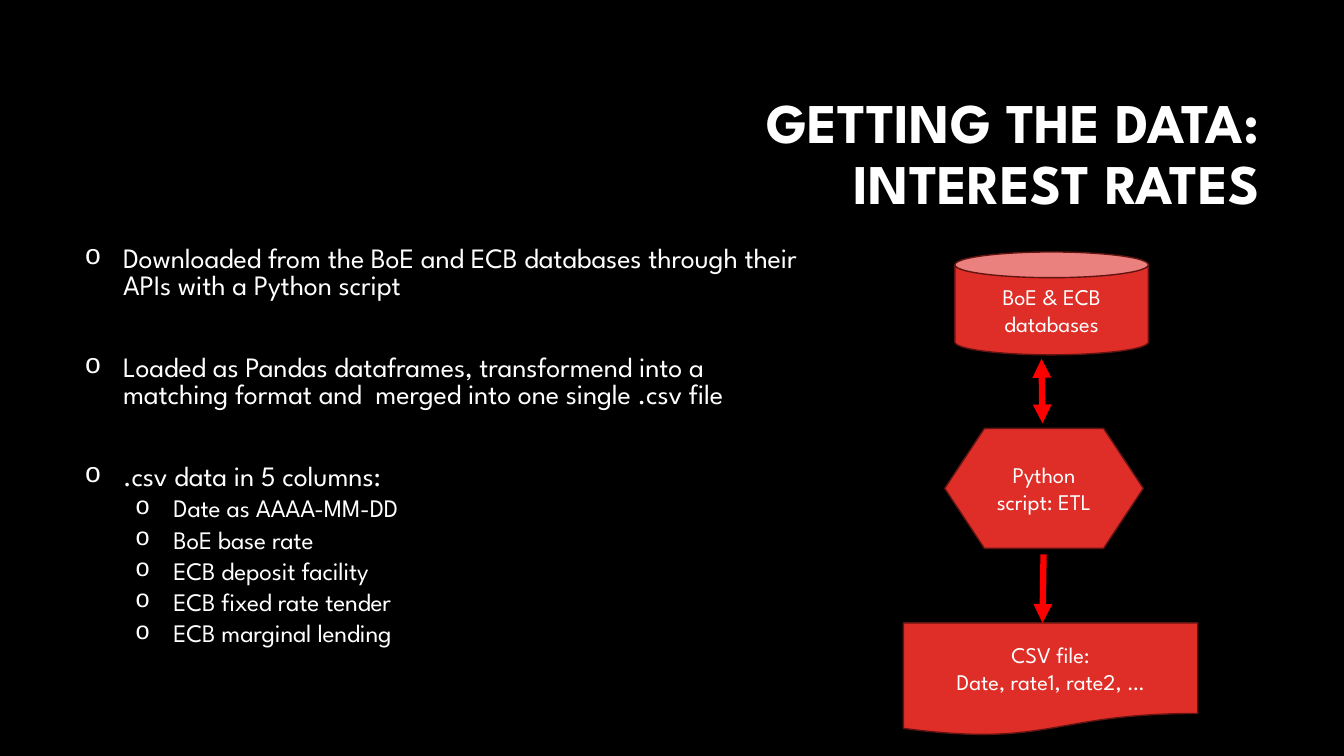
from copy import deepcopy

from lxml.etree import SubElement
from pptx import Presentation
from pptx.dml.color import RGBColor
from pptx.enum.shapes import MSO_CONNECTOR, MSO_SHAPE
from pptx.enum.text import MSO_ANCHOR, MSO_AUTO_SIZE, PP_ALIGN
from pptx.oxml.ns import qn
from pptx.util import Inches, Pt

FONT = "League Spartan"
BLACK, WHITE, RED, DARK_RED, ARROW_RED = "000000", "FFFFFF", "DF2E28", "621412", "FF0000"
POINTS = [
    (0, "Downloaded from the BoE and ECB databases through their APIs with a Python script", 10),
    (0, "Loaded as Pandas dataframes, transformend into a matching format and  merged into one single .csv file", 39.3),
    (0, ".csv data in 5 columns:", 39.3),
    (1, "Date as AAAA-MM-DD", 5),
    (1, "BoE base rate", 5),
    (1, "ECB deposit facility", 5),
    (1, "ECB fixed rate tender", 5),
    (1, "ECB marginal lending", 5),
]


def color(value):
    """Turn a hex string into a colour."""
    return RGBColor.from_string(value)


def write(paragraph, text, size=16, bold=False, align=PP_ALIGN.LEFT, line=None, before=0, tracking=None):
    """Fill a paragraph with formatted text; a vertical tab breaks the line."""
    paragraph.text = text
    paragraph.alignment = align
    paragraph.line_spacing = line
    paragraph.space_before = Pt(before)
    for run in paragraph.runs:
        run.font.name = FONT
        run.font.size = Pt(size)
        run.font.bold = bold
        run.font.color.rgb = color(WHITE)
        if tracking is not None:
            run.font._element.set("spc", str(tracking))
    for line_break in paragraph._p.findall(qn("a:br")):
        line_break.append(deepcopy(paragraph.runs[0].font._element))


def place(shape, left, top, width, height):
    """Move a shape to a box given in inches."""
    shape.left, shape.top = Inches(left), Inches(top)
    shape.width, shape.height = Inches(width), Inches(height)


def add_bullet(paragraph, level):
    """Give a paragraph a hanging round bullet."""
    paragraph.level = level
    properties = paragraph._p.get_or_add_pPr()
    properties.set("marL", str(Inches(0.38 + 0.5 * level)))
    properties.set("indent", str(-Inches(0.38)))
    SubElement(properties, qn("a:buFont")).set("typeface", "Courier New")
    SubElement(properties, qn("a:buChar")).set("char", "o")


def fill_title(title, box):
    """Place and write the slide title."""
    place(title, *box)
    frame = title.text_frame
    frame.auto_size = MSO_AUTO_SIZE.NONE
    frame.vertical_anchor = MSO_ANCHOR.MIDDLE
    write(frame.paragraphs[0], "GETTING THE DATA:\vINTEREST RATES",
          size=40, bold=True, align=PP_ALIGN.RIGHT, line=0.9)


def fill_points(body, box):
    """Place the body and write its two-level list."""
    place(body, *box)
    frame = body.text_frame
    frame.auto_size = MSO_AUTO_SIZE.NONE
    for index, (level, text, before) in enumerate(POINTS):
        paragraph = frame.add_paragraph() if index else frame.paragraphs[0]
        write(paragraph, text, size=20 - 2 * level, line=0.8, before=before, tracking=-10)
        add_bullet(paragraph, level)


def add_step(slide, kind, lines, box):
    """Add one labelled step of the flow."""
    shape = slide.shapes.add_shape(kind, *map(Inches, box))
    shape.shadow.inherit = False
    shape.fill.solid()
    shape.fill.fore_color.rgb = color(RED)
    shape.line.color.rgb = color(DARK_RED)
    shape.line.width = Pt(1)
    frame = shape.text_frame
    frame.word_wrap = True
    frame.vertical_anchor = MSO_ANCHOR.MIDDLE
    for index, text in enumerate(lines):
        paragraph = frame.add_paragraph() if index else frame.paragraphs[0]
        write(paragraph, text, align=PP_ALIGN.CENTER)


def add_arrow(slide, start, end, ends):
    """Add a thick arrow with triangles at the named ends."""
    connector = slide.shapes.add_connector(MSO_CONNECTOR.STRAIGHT, *map(Inches, start + end))
    connector.line.color.rgb = color(ARROW_RED)
    connector.line.width = Pt(4.5)
    for name in ends:
        SubElement(connector.line._get_or_add_ln(), qn(name)).set("type", "triangle")
    SubElement(connector._element.spPr, qn("a:effectLst"))


def add_flow(slide, box):
    """Draw the flow from databases through the script to the file."""
    left, top, width, height = box
    add_step(slide, MSO_SHAPE.CAN, ["BoE & ECB", "databases"], (left + 0.51, top, 1.92, 1.02))
    add_step(slide, MSO_SHAPE.FLOWCHART_DOCUMENT, ["CSV file:", "Date, rate1, rate2, …"],
             (left, top + height - 1.12, width, 1.12))
    add_step(slide, MSO_SHAPE.FLOWCHART_PREPARATION, ["Python script: ETL"],
             (left + 0.41, top + 1.75, 1.97, 1.19))
    axis = left + 1.38
    add_arrow(slide, (axis - 0.01, top + 1.06), (axis, top + 1.7), ["a:headEnd", "a:tailEnd"])
    add_arrow(slide, (axis + 0.01, top + 3), (axis, top + 3.68), ["a:tailEnd"])


def main():
    """Build and save the presentation."""
    presentation = Presentation()
    presentation.slide_width, presentation.slide_height = Inches(13.33), Inches(7.5)
    slide = presentation.slides.add_slide(presentation.slide_layouts[1])
    slide.background.fill.solid()
    slide.background.fill.fore_color.rgb = color(BLACK)
    fill_title(slide.shapes.title, (3.17, 0.84, 9.42, 1.41))
    fill_points(slide.placeholders[1], (0.74, 2.4, 7.26, 4.4))
    add_flow(slide, (8.96, 2.5, 2.92, 4.8))
    presentation.save("out.pptx")


if __name__ == "__main__":
    main()
